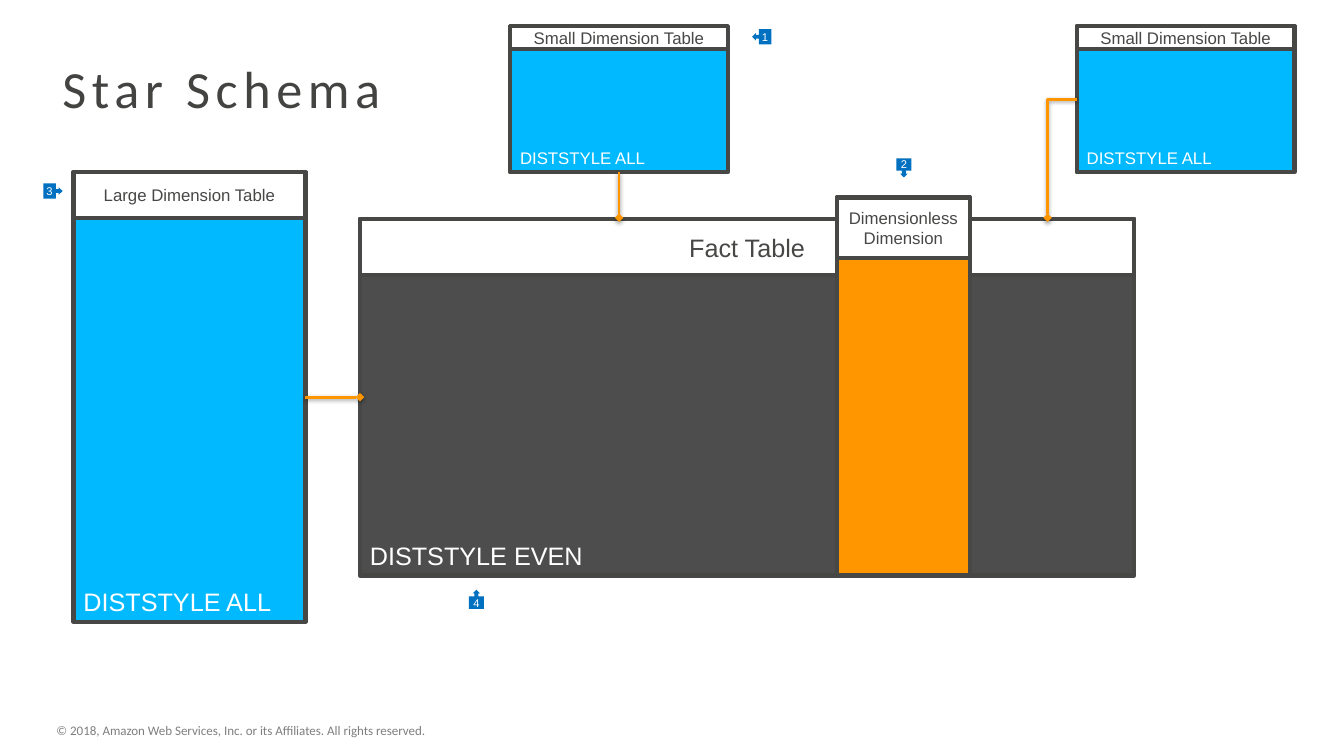
from typing import Any, NamedTuple, Optional

from lxml.etree import SubElement
from pptx import Presentation
from pptx.dml.color import RGBColor
from pptx.enum.shapes import MSO_CONNECTOR as Wire, MSO_SHAPE as Preset
from pptx.enum.text import MSO_ANCHOR as Anchor, PP_ALIGN as Align
from pptx.oxml.ns import qn
from pptx.util import Inches, Pt

COLORS = {
    "sky": "00B9FF",
    "orange": "FF9600",
    "charcoal": "4C4D4C",
    "edge": "474746",
    "title": "434342",
    "footer": "7F7F7F",
    "marker": "0070C0",
    "white": "FFFFFF",
}
PAGE_WIDTH, PAGE_HEIGHT = Inches(13.33), Inches(7.5)
COLUMNS, ROWS = 133.3, 75
NO_MARGINS = dict.fromkeys(("margin_left", "margin_top", "margin_right", "margin_bottom"), 0)
HEADER_FRAME = {"word_wrap": True, "vertical_anchor": Anchor.MIDDLE}
BODY_FRAME = {"word_wrap": True, "vertical_anchor": Anchor.BOTTOM}
MARKER_FRAME = {"word_wrap": False, "vertical_anchor": Anchor.MIDDLE, **NO_MARGINS}


class Area(NamedTuple):
    column: float
    row: float
    columns: float
    rows: float


class SchemaTable(NamedTuple):
    name: str
    style: str
    area: Area
    header_rows: float
    fill: str
    name_size: float = 12
    style_size: float = 12


class Marker(NamedTuple):
    label: str
    preset: Preset
    area: Area


class Link(NamedTuple):
    source: int
    source_side: int
    end_column: float
    end_row: float
    target: Optional[int] = None
    target_side: int = 0
    bent: bool = False


FACT, RIGHT_SMALL, LARGE, DIMENSIONLESS, LEFT_SMALL = range(5)
TABLES = [
    SchemaTable("Fact Table", "DISTSTYLE EVEN", Area(35.7, 21.7, 76.8, 35.4), 5.6, "charcoal", 18, 18),
    SchemaTable("Small Dimension Table", "DISTSTYLE ALL", Area(106.8, 2.6, 21.6, 14.5), 2.3, "sky"),
    SchemaTable("Large Dimension Table", "DISTSTYLE ALL", Area(7.3, 17.1, 23, 44.6), 4.5, "sky", 12, 18),
    SchemaTable("Dimensionless Dimension", "", Area(83, 19.6, 13.2, 37.5), 6, "orange"),
    SchemaTable("Small Dimension Table", "DISTSTYLE ALL", Area(50.6, 2.6, 21.6, 14.5), 2.3, "sky"),
]
LINKS = [
    Link(LARGE, 3, 35.7, 39.4, FACT, 1),
    Link(LEFT_SMALL, 2, 61.4, 21.6),
    Link(RIGHT_SMALL, 1, 103.9, 21.6, bent=True),
]
MARKERS = [
    Marker("3", Preset.RIGHT_ARROW_CALLOUT, Area(4.3, 18.2, 1.9, 1.5)),
    Marker("2", Preset.DOWN_ARROW_CALLOUT, Area(88.9, 15.7, 1.5, 1.9)),
    Marker("1", Preset.LEFT_ARROW_CALLOUT, Area(74.6, 2.9, 1.9, 1.5)),
    Marker("4", Preset.UP_ARROW_CALLOUT, Area(46.5, 58.5, 1.5, 1.9)),
]


def across(columns: float) -> int:
    return round(PAGE_WIDTH * columns / COLUMNS)


def down(rows: float) -> int:
    return round(PAGE_HEIGHT * rows / ROWS)


def place(area: Area) -> tuple:
    return across(area.column), down(area.row), across(area.columns), down(area.rows)


def color(name: str) -> RGBColor:
    return RGBColor.from_string(COLORS[name])


def apply(target: Any, values: dict) -> None:
    for name, value in values.items():
        setattr(target, name, value)


def write(box: Any, text: str, size: float, ink: str, frame_values: dict,
          align: Align = Align.LEFT, font: str = "Arial") -> Any:
    apply(box.text_frame, frame_values)
    para = box.text_frame.paragraphs[0]
    para.alignment = align
    span = para.add_run()
    span.text = text
    apply(span.font, {"name": font, "size": Pt(size)})
    span.font.color.rgb = color(ink)
    return span


def add_block(page: Any, preset: Preset, area: Area, fill: str, edge: Optional[str] = None) -> Any:
    box = page.shapes.add_shape(preset, *place(area))
    box.shadow.inherit = False
    box.fill.solid()
    box.fill.fore_color.rgb = color(fill)
    if edge:
        box.line.color.rgb = color(edge)
        box.line.width = Pt(3)
    else:
        box.line.fill.background()
    return box


def add_table_block(page: Any, table: SchemaTable) -> Any:
    body = add_block(page, Preset.RECTANGLE, table.area, table.fill, "edge")
    if table.style:
        write(body, table.style, table.style_size, "white", BODY_FRAME)
    header_area = table.area._replace(rows=table.header_rows)
    header = add_block(page, Preset.RECTANGLE, header_area, "white", "edge")
    write(header, table.name, table.name_size, "edge", HEADER_FRAME, Align.CENTER)
    return body


def add_marker(page: Any, marker: Marker) -> None:
    box = add_block(page, marker.preset, marker.area, "marker")
    write(box, marker.label, 8, "white", MARKER_FRAME, Align.CENTER)


def add_link(page: Any, link: Link, bodies: list) -> None:
    end = across(link.end_column), down(link.end_row)
    wire = page.shapes.add_connector(Wire.ELBOW if link.bent else Wire.STRAIGHT, *end, *end)
    wire.begin_connect(bodies[link.source], link.source_side)
    if link.target is not None:
        wire.end_connect(bodies[link.target], link.target_side)
    wire.line.color.rgb = color("orange")
    wire.line.width = Pt(2)
    properties = wire._element.spPr
    if link.bent:
        properties.find(qn("a:prstGeom")).set("prst", "bentConnector2")
    SubElement(properties.find(qn("a:ln")), qn("a:tailEnd"), type="diamond")
    effects = SubElement(properties, qn("a:effectLst"))
    shadow = SubElement(effects, qn("a:outerShdw"), blurRad=str(Pt(3.1)), dist=str(Pt(1.6)),
                        dir="5400000", rotWithShape="0")
    shade = SubElement(shadow, qn("a:srgbClr"), val="000000")
    SubElement(shade, qn("a:alpha"), val="38000")


def main() -> None:
    deck = Presentation()
    apply(deck, {"slide_width": PAGE_WIDTH, "slide_height": PAGE_HEIGHT})
    page = deck.slides.add_slide(deck.slide_layouts[6])

    footer = page.shapes.add_textbox(*place(Area(5.6, 71.7, 44.1, 1.6)))
    write(footer, "© 2018, Amazon Web Services, Inc. or its Affiliates. All rights reserved.",
          9.3, "footer", {"word_wrap": True, **NO_MARGINS}, font="Calibri")
    title = page.shapes.add_textbox(*place(Area(5.2, 5.1, 123.2, 6.9)))
    span = write(title, "Star Schema", 37.3, "title", {"word_wrap": True}, font="Calibri")
    span.font._element.set("spc", "400")

    bodies = [add_table_block(page, table) for table in TABLES]
    for link in LINKS:
        add_link(page, link, bodies)
    for marker in MARKERS:
        add_marker(page, marker)
    deck.save("out.pptx")


if __name__ == "__main__":
    main()
